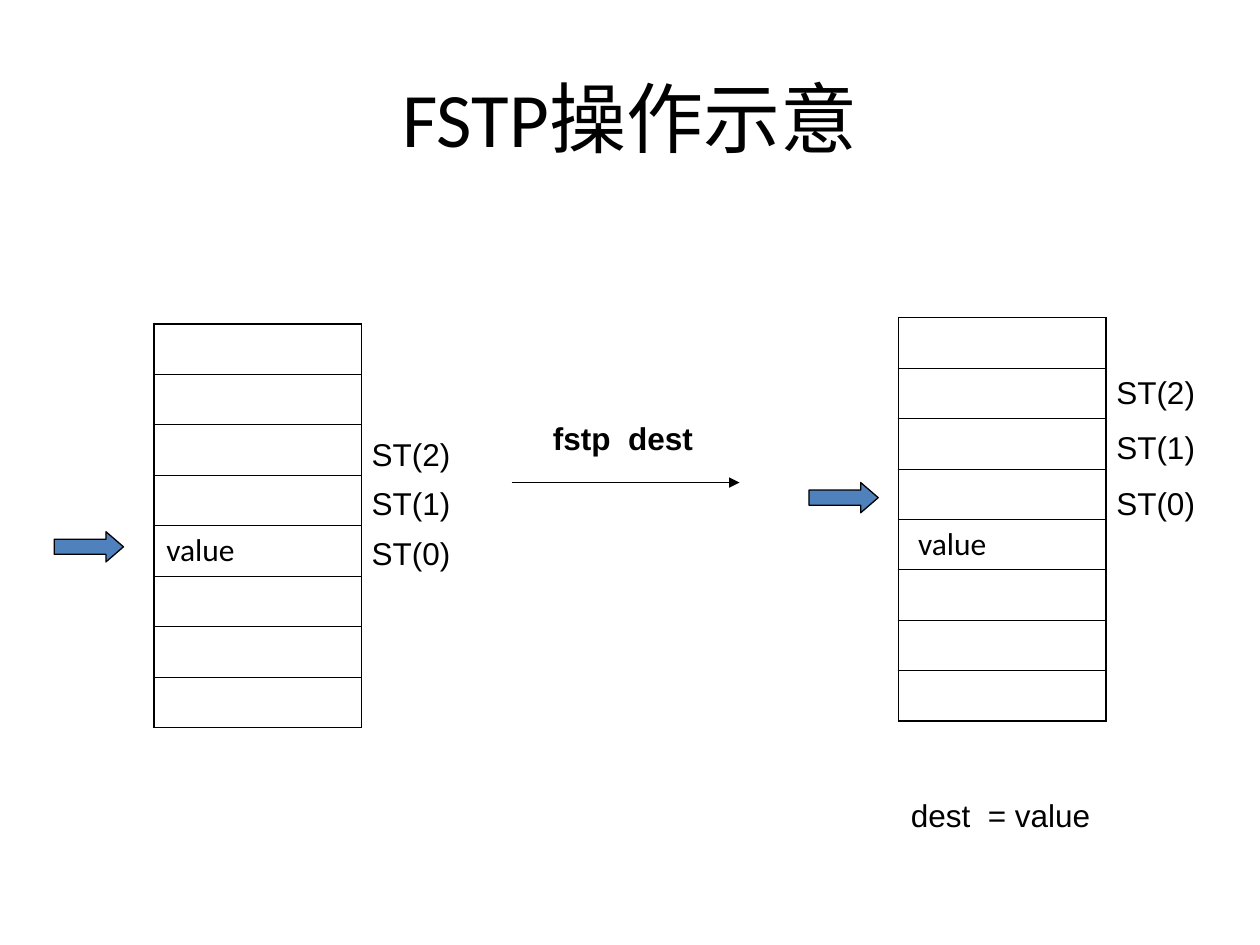
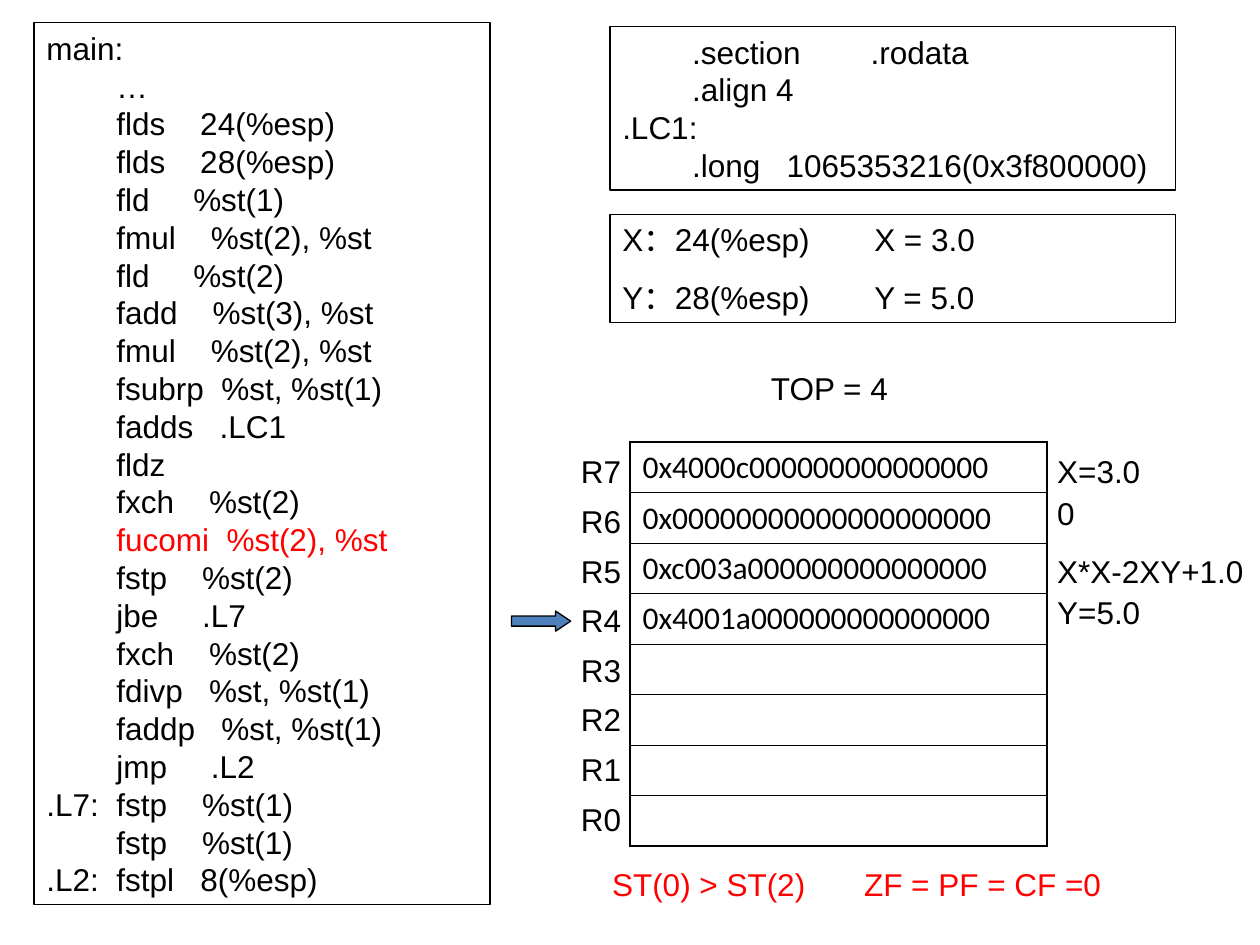
from dataclasses import dataclass

import pptx
import pptx.dml.color
import pptx.enum.shapes
import pptx.enum.text
import pptx.oxml
import pptx.oxml.ns
import pptx.util
from lxml import etree
from pptx.shapes.autoshape import Shape
from pptx.slide import Slide
from pptx.text.text import TextFrame

BLACK = pptx.dml.color.RGBColor(0x00, 0x00, 0x00)
RED = pptx.dml.color.RGBColor(0xFF, 0x00, 0x00)
BLUE = pptx.dml.color.RGBColor(0x4F, 0x81, 0xBD)

SLIDE_WIDTH = pptx.util.Inches(10)
SLIDE_HEIGHT = pptx.util.Inches(7.5)
COLUMN = SLIDE_WIDTH / 100
ROW = SLIDE_HEIGHT / 75

BODY_FONT = "Arial"
TITLE_FONT = "Calibri"
BODY_SIZE = 18
LINE_FACTOR = 1.2
PARAGRAPH_GAP = 11.2
TAB_STOP = 20
REGISTER_COUNT = 8
REGISTER_HEIGHT = 3.99
THIN, THICK, OUTLINE = 0.45, 1.08, 0.75


@dataclass(frozen=True)
class Box:
    """A rectangle in grid columns and rows."""
    left: float
    top: float
    width: float
    height: float

    def lengths(self) -> tuple[int, int, int, int]:
        return (round(self.left * COLUMN), round(self.top * ROW),
                round(self.width * COLUMN), round(self.height * ROW))


@dataclass(frozen=True)
class RegisterStack:
    left: float
    top: float
    width: float
    contents: dict[int, str]
    inset: float = 1


@dataclass(frozen=True)
class LabelColumn:
    """Labels one below another, at an equal pitch."""
    left: float
    top: float
    width: float
    pitch: float
    labels: list[str]


@dataclass(frozen=True)
class Pointer:
    box: Box
    head: float


@dataclass(frozen=True)
class Panel:
    box: Box
    text: str
    gap: float = 0
    highlight: str = ""


def write(frame: TextFrame, text: str, *, font: str = BODY_FONT, size: float = BODY_SIZE,
          color: pptx.dml.color.RGBColor = BLACK, bold: bool = False, gap: float = 0,
          inset: float = 1, centred: bool = False, highlight: str = "") -> None:
    """Fill a frame, one paragraph a line; the line holding highlight turns red."""
    frame.word_wrap = True
    frame.margin_left = frame.margin_right = round(inset * COLUMN)
    frame.margin_top = frame.margin_bottom = round(inset * ROW / 2)
    frame.vertical_anchor = (pptx.enum.text.MSO_ANCHOR.MIDDLE if centred
                             else pptx.enum.text.MSO_ANCHOR.TOP)
    for index, line in enumerate(text.split("\n")):
        paragraph = frame.add_paragraph() if index else frame.paragraphs[0]
        paragraph.alignment = (pptx.enum.text.PP_ALIGN.CENTER if centred
                               else pptx.enum.text.PP_ALIGN.LEFT)
        if font == BODY_FONT:
            paragraph.line_spacing = pptx.util.Pt(size * LINE_FACTOR)
        if index and gap:
            paragraph.space_before = pptx.util.Pt(gap)
        if "\t" in line:
            tabs = etree.SubElement(paragraph._p.get_or_add_pPr(),
                                    pptx.oxml.ns.qn("a:tabLst"))
            etree.SubElement(tabs, pptx.oxml.ns.qn("a:tab"),
                             pos=str(round(TAB_STOP * COLUMN)), algn="l")
        run = paragraph.add_run()
        run.text = line
        run.font.name = font
        run.font.size = pptx.util.Pt(size)
        run.font.bold = bold
        run.font.color.rgb = RED if highlight and highlight in line else color


def add_text(slide: Slide, box: Box, text: str, **text_format) -> None:
    write(slide.shapes.add_textbox(*box.lengths()).text_frame, text, **text_format)


def add_outlined(slide: Slide, kind: pptx.enum.shapes.MSO_SHAPE, box: Box) -> Shape:
    shape = slide.shapes.add_shape(kind, *box.lengths())
    shape.shadow.inherit = False
    shape.line.color.rgb = BLACK
    shape.line.width = pptx.util.Pt(OUTLINE)
    return shape


def add_panel(slide: Slide, panel: Panel) -> None:
    shape = add_outlined(slide, pptx.enum.shapes.MSO_SHAPE.RECTANGLE, panel.box)
    shape.fill.background()
    write(shape.text_frame, panel.text, gap=panel.gap, highlight=panel.highlight)


def add_pointer(slide: Slide, pointer: Pointer) -> None:
    shape = add_outlined(slide, pptx.enum.shapes.MSO_SHAPE.RIGHT_ARROW, pointer.box)
    shape.fill.solid()
    shape.fill.fore_color.rgb = BLUE
    shape.adjustments[0] = 0.5
    shape.adjustments[1] = pointer.head


def add_labels(slide: Slide, column: LabelColumn) -> None:
    for index, label in enumerate(column.labels):
        top = column.top + index * column.pitch
        add_text(slide, Box(column.left, top, column.width, 3), label, inset=0)


def set_borders(cell, **widths: float) -> None:
    """Draw black cell borders; the sides come in the order lnL, lnR, lnT, lnB."""
    properties = cell._tc.get_or_add_tcPr()
    for position, (side, width) in enumerate(widths.items()):
        line = pptx.oxml.parse_xml(
            f'<a:{side} {pptx.oxml.ns.nsdecls("a")} w="{pptx.util.Pt(width)}">'
            f'<a:solidFill><a:srgbClr val="{BLACK}"/></a:solidFill></a:{side}>')
        properties.insert(position, line)


def add_register_stack(slide: Slide, stack: RegisterStack) -> None:
    box = Box(stack.left, stack.top, stack.width, REGISTER_COUNT * REGISTER_HEIGHT)
    table = slide.shapes.add_table(REGISTER_COUNT, 1, *box.lengths()).table
    table.first_row = table.horz_banding = False
    last = REGISTER_COUNT - 1
    for index in range(REGISTER_COUNT):
        table.rows[index].height = round(REGISTER_HEIGHT * ROW)
        cell = table.cell(index, 0)
        cell.fill.background()
        set_borders(cell, lnL=THICK, lnR=THICK, lnT=THICK if index == 0 else THIN,
                    lnB=THICK if index == last else THIN)
        if index in stack.contents:
            write(cell.text_frame, stack.contents[index], font=TITLE_FONT)
            cell.margin_left = round(stack.inset * COLUMN)
            cell.margin_right = round(COLUMN)
            cell.margin_top = cell.margin_bottom = round(ROW / 2)


def add_arrow_line(slide: Slide, left: float, right: float, top: float) -> None:
    start, level, end = round(left * COLUMN), round(top * ROW), round(right * COLUMN)
    connector = slide.shapes.add_connector(
        pptx.enum.shapes.MSO_CONNECTOR.STRAIGHT, start, level, end, level)
    connector.line.color.rgb = BLACK
    connector.line.width = pptx.util.Pt(OUTLINE)
    etree.SubElement(connector.line._get_or_add_ln(), pptx.oxml.ns.qn("a:tailEnd"),
                     type="triangle")
    etree.SubElement(connector._element.spPr, pptx.oxml.ns.qn("a:effectLst"))


STACK_LABELS = ["ST(2)", "ST(1)", "ST(0)"]

ASSEMBLY = """main:
        …
        flds    24(%esp)
        flds    28(%esp)
        fld     %st(1)
        fmul    %st(2), %st
        fld     %st(2)
        fadd    %st(3), %st
        fmul    %st(2), %st
        fsubrp  %st, %st(1)
        fadds   .LC1
        fldz
        fxch    %st(2)
        fucomi  %st(2), %st
        fstp    %st(2)
        jbe     .L7
        fxch    %st(2)
        fdivp   %st, %st(1)
        faddp   %st, %st(1)
        jmp     .L2
.L7:  fstp    %st(1)
        fstp    %st(1)
.L2:  fstpl   8(%esp)"""

CONSTANTS = """        .section        .rodata
        .align 4
.LC1:
        .long   1065353216(0x3f800000)"""

VARIABLES = "X：24(%esp)\tX = 3.0\nY：28(%esp)\tY = 5.0"

REGISTER_VALUES = ["0x4000c000000000000000", "0x00000000000000000000",
                   "0xc003a000000000000000", "0x4001a000000000000000"]

# Top row of each note beside the registers
REGISTER_NOTES = {35.9: "X=3.0", 39.2: "0", 43.8: "X*X-2XY+1.0", 47.1: "Y=5.0"}


def build_fstp_slide(slide: Slide) -> None:
    add_text(slide, Box(5, 3, 90, 12.5), "FSTP操作示意", font=TITLE_FONT, size=44,
             centred=True)
    for stack in (RegisterStack(12.2, 25.7, 16.5, {4: "value"}),
                  RegisterStack(71.3, 25.2, 16.5, {4: "value"}, inset=1.57)):
        add_register_stack(slide, stack)
    for pointer in (Pointer(Box(4.3, 42.2, 5.5, 2.4), 0.58),
                    Pointer(Box(64.2, 38.3, 5.5, 2.4), 0.58)):
        add_pointer(slide, pointer)
    for column in (LabelColumn(29.5, 34.5, 7.1, 3.95, STACK_LABELS),
                   LabelColumn(88.6, 29.6, 7.1, 4.4, STACK_LABELS)):
        add_labels(slide, column)
    add_arrow_line(slide, 40.6, 58.7, 38.3)
    add_text(slide, Box(42.9, 32.8, 14.2, 4), "fstp  dest", bold=True)
    add_text(slide, Box(71.3, 62.7, 20.5, 4), "dest  = value")


def build_compare_slide(slide: Slide) -> None:
    for panel in (Panel(Box(2.7, 1.8, 36.2, 70), ASSEMBLY, highlight="fucomi"),
                  Panel(Box(48.4, 2.1, 44.9, 13), CONSTANTS),
                  Panel(Box(48.4, 17, 44.9, 8.6), VARIABLES, gap=PARAGRAPH_GAP)):
        add_panel(slide, panel)
    add_text(slide, Box(60.2, 28.8, 11.8, 4), "TOP = 4")
    add_register_stack(
        slide, RegisterStack(50, 35.1, 33.1, dict(enumerate(REGISTER_VALUES))))
    names = [f"R{number}" for number in reversed(range(REGISTER_COUNT))]
    add_labels(slide, LabelColumn(46.1, 35.9, 3.9, 3.94, names))
    add_pointer(slide, Pointer(Box(40.6, 48.5, 4.7, 1.6), 0.75))
    for top, note in REGISTER_NOTES.items():
        add_text(slide, Box(83.9, top, 16.1, 3), note, inset=0)
    add_text(slide, Box(47.6, 68.2, 43.3, 4), "ST(0) > ST(2)\tZF = PF = CF =0",
             color=RED)


def main() -> None:
    presentation = pptx.Presentation()
    presentation.slide_width = SLIDE_WIDTH
    presentation.slide_height = SLIDE_HEIGHT
    blank_layout = presentation.slide_layouts[6]
    for build in (build_fstp_slide, build_compare_slide):
        build(presentation.slides.add_slide(blank_layout))
    presentation.save("out.pptx")


if __name__ == "__main__":
    main()
